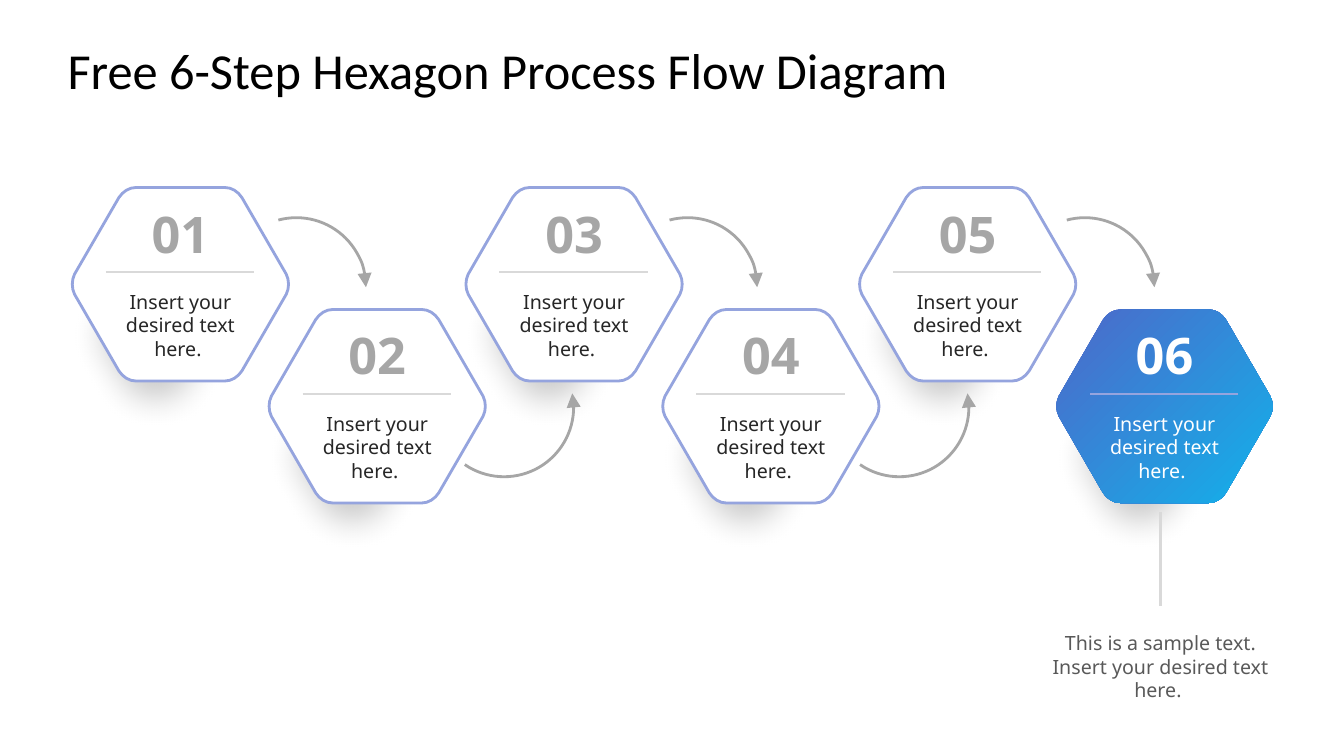
from dataclasses import dataclass
from typing import Any

from lxml.etree import SubElement
from pptx import Presentation
from pptx.dml.color import RGBColor
from pptx.enum.shapes import MSO_CONNECTOR as Connector, MSO_SHAPE as Preset
from pptx.enum.text import MSO_ANCHOR as Anchor, PP_ALIGN as Align
from pptx.oxml.ns import qn
from pptx.util import Inches, Pt

COLORS: dict[str, str] = {
    "title": "000000", "shadow": "000000", "white": "FFFFFF",
    "outline": "95A4DE", "arrow": "A6A6A6", "rule": "D9D9D9",
    "label": "262626", "caption": "595959",
    "gradient_start": "4E67C8", "gradient_end": "12B2EB",
}
BODY_FONT = "Noto Sans"
LABEL = "Insert your desired text here. "

# Hexagon geometry, in inches from its centre; each corner is a cubic curve
FIRST_CENTER_X, UPPER_Y, LOWER_Y = 1.79, 2.82, 4.03
PITCH = 9.76 / 5
SHADOW_DX, SHADOW_DY = -0.25, 0.51
TOP_RIGHT = [(0.44, -0.96), (0.51, -0.96), (0.57, -0.92), (0.61, -0.86)]
RIGHT = [(1.05, -0.1), (1.08, -0.04), (1.08, 0.04), (1.05, 0.1)]
BOTTOM_RIGHT = [(x, -y) for x, y in reversed(TOP_RIGHT)]
RIGHT_HALF = [TOP_RIGHT, RIGHT, BOTTOM_RIGHT]
CORNERS = RIGHT_HALF + [[(-x, -y) for x, y in corner] for corner in RIGHT_HALF]


@dataclass
class Step:
    number: str
    x: float
    y: float
    highlighted: bool


@dataclass
class ArcArrow:
    left: float
    rising: bool


@dataclass
class TextStyle:
    size: float
    color: str
    font: str = BODY_FONT
    bold: bool = False
    align: Align = Align.CENTER
    anchor: Anchor = Anchor.MIDDLE


STEPS = [
    Step(f"{i + 1:02}", FIRST_CENTER_X + i * PITCH, LOWER_Y if i % 2 else UPPER_Y, i == 5)
    for i in range(6)
]
ARROWS = [ArcArrow(2.25, False), ArcArrow(4.31, True), ArcArrow(6.13, False),
          ArcArrow(8.23, True), ArcArrow(10.07, False)]


def rgb(name: str) -> RGBColor:
    return RGBColor.from_string(COLORS[name])


def set_values(target: Any, values: dict[str, Any]) -> None:
    for name, value in values.items():
        setattr(target, name, value)


def set_line(shape: Any, color: str, width: float) -> None:
    shape.line.color.rgb = rgb(color)
    shape.line.width = Pt(width)


def add_text(shapes: Any, text: str, box: tuple[float, ...], style: TextStyle) -> None:
    frame = shapes.add_textbox(*map(Inches, box)).text_frame
    set_values(frame, {"word_wrap": True, "vertical_anchor": style.anchor, "margin_left": 0,
                       "margin_right": 0, "margin_top": 0, "margin_bottom": 0})
    paragraph = frame.paragraphs[0]
    paragraph.alignment = style.align
    run = paragraph.add_run()
    run.text = text
    set_values(run.font, {"name": style.font, "size": Pt(style.size), "bold": style.bold})
    run.font.color.rgb = rgb(style.color)


def add_line(shapes: Any, start: tuple[float, float], end: tuple[float, float],
             color: str, width: float) -> None:
    line = shapes.add_connector(Connector.STRAIGHT, *map(Inches, start + end))
    set_line(line, color, width)
    SubElement(line._element.spPr, qn("a:effectLst"))


def round_corners(hexagon: Any) -> None:
    """Turn the last three points of every corner into one cubic curve."""
    outline = next(hexagon._element.iter(qn("a:path")))
    points = list(outline)[:4 * len(CORNERS)]
    for first in range(0, len(points), 4):
        curve, *others = points[first + 1:first + 4]
        bezier = outline.makeelement(qn("a:cubicBezTo"))
        curve.addprevious(bezier)
        for segment in (curve, *others):
            bezier.append(segment[0])
            outline.remove(segment)


def add_hexagon(shapes: Any, center_x: float, center_y: float) -> Any:
    points = [(Inches(center_x + x), Inches(center_y + y))
              for corner in CORNERS for x, y in corner]
    builder = shapes.build_freeform(*points[0])
    builder.add_line_segments(points[1:], close=True)
    hexagon = builder.convert_to_shape()
    round_corners(hexagon)
    hexagon.shadow.inherit = False
    return hexagon


def add_soft_shadow(shapes: Any, step: Step) -> None:
    shadow = add_hexagon(shapes, step.x + SHADOW_DX, step.y + SHADOW_DY)
    shadow.fill.solid()
    shadow.fill.fore_color.rgb = rgb("shadow")
    shadow.line.fill.background()
    properties = shadow._element.spPr
    color = properties.find(qn("a:solidFill")).find(qn("a:srgbClr"))
    SubElement(color, qn("a:alpha"), val="22000")
    SubElement(properties.find(qn("a:effectLst")), qn("a:softEdge"), rad=str(Pt(25)))


def add_arc_arrow(shapes: Any, arrow: ArcArrow) -> None:
    top = 3.35 if arrow.rising else 2.16
    arc = shapes.add_shape(Preset.ARC, *map(Inches, (arrow.left, top, 1.38, 1.38)))
    arc.shadow.inherit = False
    arc.adjustments[0], arc.adjustments[1] = (209.11, 74.63) if arrow.rising else (152.98, 0)
    arc.fill.background()
    set_line(arc, "arrow", 2)
    end = "a:headEnd" if arrow.rising else "a:tailEnd"
    SubElement(arc.line._get_or_add_ln(), qn(end), type="triangle", w="lg", len="lg")


def add_step(shapes: Any, step: Step) -> None:
    group = shapes.add_group_shape().shapes
    hexagon = add_hexagon(group, step.x, step.y)
    if step.highlighted:
        hexagon.fill.gradient()
        hexagon.fill.gradient_angle = 315
        for stop, color in zip(hexagon.fill.gradient_stops, ("gradient_start", "gradient_end")):
            stop.color.rgb = rgb(color)
        hexagon.line.fill.background()
    else:
        hexagon.fill.solid()
        hexagon.fill.fore_color.rgb = rgb("white")
        set_line(hexagon, "outline", 2)
    rule, number, label = (("outline", "white", "white") if step.highlighted
                           else ("rule", "arrow", "label"))
    rule_y = step.y - 0.12
    add_line(group, (step.x - 0.74, rule_y), (step.x + 0.73, rule_y), rule, 1.5)
    add_text(group, step.number, (step.x - 0.48, step.y - 0.77, 0.96, 0.52),
             TextStyle(36, number, bold=True))
    add_text(group, LABEL, (step.x - 0.59, step.y + 0.02, 1.18, 0.77), TextStyle(14, label))


def main() -> None:
    presentation = Presentation()
    set_values(presentation, {"slide_width": Inches(13.33), "slide_height": Inches(7.5)})
    shapes = presentation.slides.add_slide(presentation.slide_layouts[6]).shapes

    # Title
    add_text(shapes, "Free 6-Step Hexagon Process Flow Diagram", (0.67, 0.3, 12, 0.78),
             TextStyle(36, "title", font="Calibri", align=Align.LEFT))

    # Process flow: the highlighted last step lies above the others
    for steps, arrows in ((STEPS[:5], ARROWS[:4]), (STEPS[5:], ARROWS[4:])):
        for step in steps:
            add_soft_shadow(shapes, step)
        for arrow in arrows:
            add_arc_arrow(shapes, arrow)
        for step in steps:
            add_step(shapes, step)

    # Note under the last step
    add_text(shapes, "This is a sample text. Insert your desired text here. ",
             (10.3, 6.26, 2.42, 0.51), TextStyle(14, "caption", anchor=Anchor.TOP))
    add_line(shapes, (11.51, 5.08), (11.51, 6.01), "rule", 2)

    presentation.save("out.pptx")


if __name__ == "__main__":
    main()
